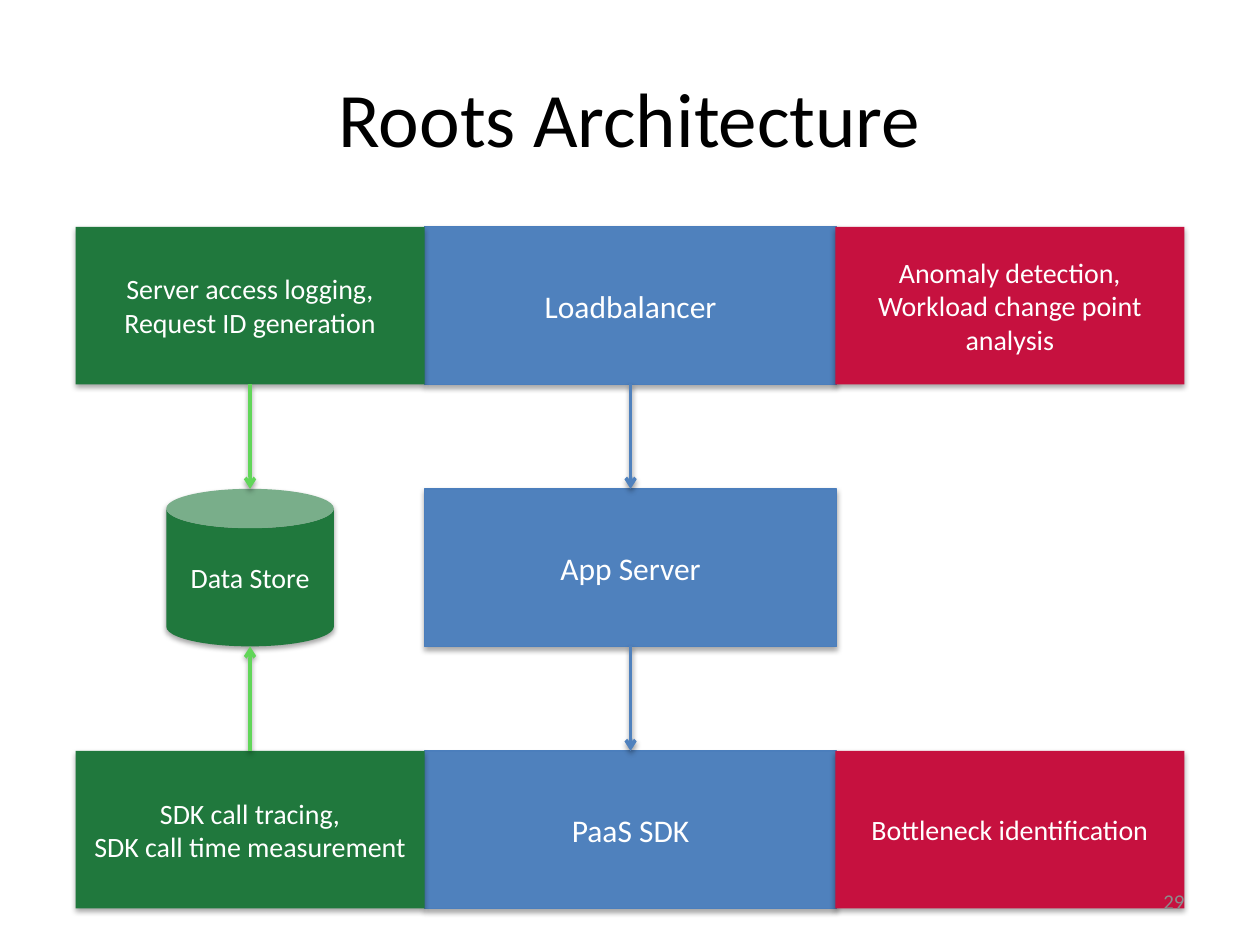
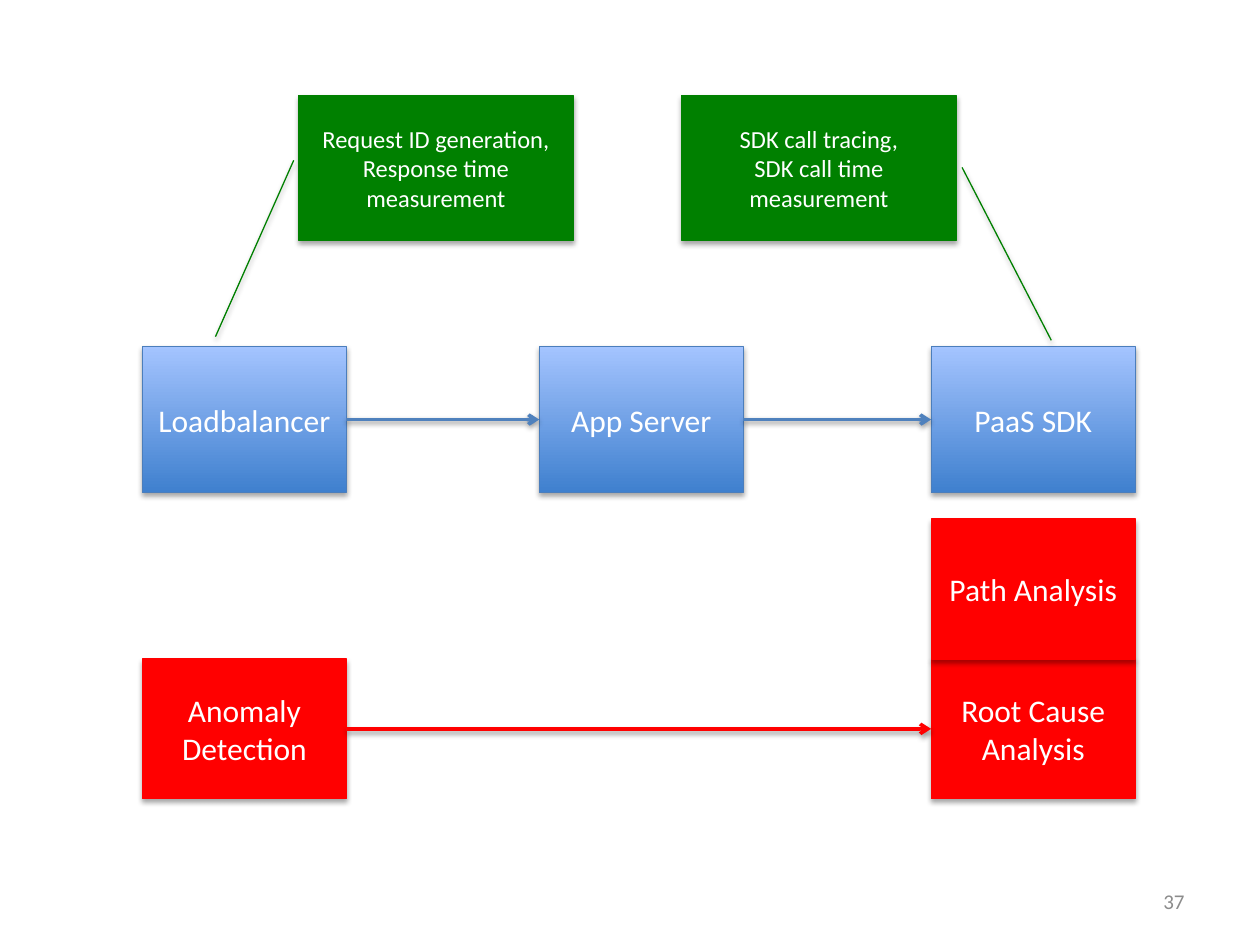
from lxml.etree import SubElement
from pptx import Presentation
from pptx.dml.color import RGBColor
from pptx.enum.shapes import MSO_CONNECTOR, MSO_SHAPE
from pptx.enum.text import MSO_ANCHOR, PP_ALIGN
from pptx.oxml.ns import qn
from pptx.util import Inches, Pt

FONT = "Calibri"
COLORS = {
    "title": "000000",
    "text": "FFFFFF",
    "page_number": "8C8C8C",
    "blue": "4F81BD",
    "blue_line": "4B7EBC",
    "gradient_bottom": "3F80CE",
    "gradient_top": "A4C4FF",
    "forest": "20783D",
    "lime": "61D659",
    "crimson": "C6113F",
    "green": "008000",
    "red": "FF0000",
}
TOP, LEFT, BOTTOM, RIGHT = range(4)


def color(name):
    return RGBColor.from_string(COLORS[name])


# Shared helpers
def write_text(shape, text, size, color_name, alignment=PP_ALIGN.CENTER):
    text_frame = shape.text_frame
    text_frame.word_wrap = True
    text_frame.vertical_anchor = MSO_ANCHOR.MIDDLE
    text_frame.text = text
    for paragraph in text_frame.paragraphs:
        paragraph.alignment = alignment
        for run in paragraph.runs:
            run.font.name = FONT
            run.font.size = Pt(size)
            run.font.color.rgb = color(color_name)


def add_shadow(effect_list, distance, opacity):
    shadow = SubElement(effect_list, qn("a:outerShdw"), blurRad=str(Pt(3.1)),
                        dist=str(Pt(distance)), dir="5400000", rotWithShape="0")
    black = SubElement(shadow, qn("a:srgbClr"), val="000000")
    SubElement(black, qn("a:alpha"), val=str(opacity * 1000))


def add_text(slide, box, text, size, color_name, alignment):
    text_box = slide.shapes.add_textbox(*map(Inches, box))
    write_text(text_box, text, size, color_name, alignment)


def add_page_number(slide, number):
    add_text(slide, (7.17, 6.95, 2.33, 0.4), str(number), 12, "page_number", PP_ALIGN.RIGHT)


def add_block(slide, box, text, size, fill, line=None, kind=MSO_SHAPE.RECTANGLE):
    shape = slide.shapes.add_shape(kind, *map(Inches, box))
    if fill == "gradient":
        shape.fill.gradient()
        shape.fill.gradient_angle = 90
        for stop, name in zip(shape.fill.gradient_stops, ("gradient_bottom", "gradient_top")):
            stop.color.rgb = color(name)
    else:
        shape.fill.solid()
        shape.fill.fore_color.rgb = color(fill)
    if line:
        shape.line.color.rgb = color(line)
        shape.line.width = Pt(0.75)
    else:
        shape.line.fill.background()
    shape.shadow.inherit = False
    add_shadow(shape._element.spPr.find(qn("a:effectLst")), 1.8, 35)
    write_text(shape, text, size, "text")
    return shape


def add_callout(slide, left, text, adjustments):
    callout = add_block(slide, (left, 0.76, 2.18, 1.15), text, 14, "green", "green",
                        MSO_SHAPE.LINE_CALLOUT_1)
    for index, value in enumerate(adjustments):
        callout.adjustments[index] = value


def side_middle(shape, side):
    center_x = shape.left + shape.width // 2
    center_y = shape.top + shape.height // 2
    return {
        TOP: (center_x, shape.top),
        LEFT: (shape.left, center_y),
        BOTTOM: (center_x, shape.top + shape.height),
        RIGHT: (shape.left + shape.width, center_y),
    }[side]


def add_arrow(slide, start, start_side, end, end_side, color_name):
    arrow = slide.shapes.add_connector(MSO_CONNECTOR.STRAIGHT, *side_middle(start, start_side),
                                       *side_middle(end, end_side))
    if start.auto_shape_type == MSO_SHAPE.RECTANGLE:
        arrow.begin_connect(start, start_side)
    if end.auto_shape_type == MSO_SHAPE.RECTANGLE:
        arrow.end_connect(end, end_side)
    arrow.line.color.rgb = color(color_name)
    arrow.line.width = Pt(2)
    SubElement(arrow.line._get_or_add_ln(), qn("a:tailEnd"), type="arrow")
    add_shadow(SubElement(arrow._element.spPr, qn("a:effectLst")), 1.6, 38)


# Layered architecture with a data store
def build_architecture(slide):
    add_text(slide, (0.5, 0.3, 9, 1.25), "Roots Architecture", 44, "title", PP_ALIGN.CENTER)
    height = 1.25
    top_row, middle_row, bottom_row = (1.8 + 2.08 * row for row in range(3))

    # Request path
    sdk, app_server, loadbalancer = (
        add_block(slide, (3.37, top, 3.27, height), text, 18, "blue", "blue_line")
        for text, top in (("PaaS SDK", bottom_row), ("App Server", middle_row),
                          ("Loadbalancer", top_row)))
    add_arrow(slide, loadbalancer, BOTTOM, app_server, TOP, "blue")
    add_arrow(slide, app_server, BOTTOM, sdk, TOP, "blue")

    # Monitoring on the left, analysis on the right
    tracing, logging, _, _ = (
        add_block(slide, (left, top, 2.77, height), text, 16, fill)
        for left, top, fill, text in (
            (0.6, bottom_row, "forest", "SDK call tracing,\nSDK call time measurement"),
            (0.6, top_row, "forest", "Server access logging,\nRequest ID generation"),
            (6.63, top_row, "crimson", "Anomaly detection,\nWorkload change point analysis"),
            (6.63, bottom_row, "crimson", "Bottleneck identification")))
    data_store = add_block(slide, (1.32, middle_row, 1.33, height), "Data Store", 16, "forest",
                           kind=MSO_SHAPE.CAN)
    add_arrow(slide, logging, BOTTOM, data_store, TOP, "lime")
    add_arrow(slide, tracing, TOP, data_store, BOTTOM, "lime")
    add_page_number(slide, 29)


# Request flow with analysis steps
def build_request_flow(slide):
    width = 1.62
    first, second, third = 1.13, 4.28, 7.39

    # Request path
    loadbalancer, app_server, sdk = (
        add_block(slide, (left, 2.75, width, 1.16), text, 18, "gradient", "blue_line")
        for left, text in ((first, "Loadbalancer"), (second, "App Server"), (third, "PaaS SDK")))

    # Monitoring callouts
    add_callout(slide, 2.37, "Request ID generation,\nResponse time measurement",
                (0.446, -0.018, 1.663, -0.303))
    add_callout(slide, 5.41, "SDK call tracing,\nSDK call time measurement",
                (0.495, 1.021, 1.688, 1.346))

    # Analysis steps
    anomaly, root_cause, _ = (
        add_block(slide, (left, top, width, 1.11), text, 18, "red", "red")
        for left, top, text in ((first, 5.23, "Anomaly Detection"),
                                (third, 5.23, "Root Cause Analysis"),
                                (third, 4.12, "Path Analysis")))
    add_arrow(slide, anomaly, RIGHT, root_cause, LEFT, "red")
    add_arrow(slide, loadbalancer, RIGHT, app_server, LEFT, "blue")
    add_arrow(slide, app_server, RIGHT, sdk, LEFT, "blue")
    add_page_number(slide, 37)


def main():
    presentation = Presentation()
    presentation.slide_width = Inches(10)
    presentation.slide_height = Inches(7.5)
    blank = presentation.slide_layouts[6]
    for build in (build_architecture, build_request_flow):
        build(presentation.slides.add_slide(blank))
    presentation.save("out.pptx")


if __name__ == "__main__":
    main()
